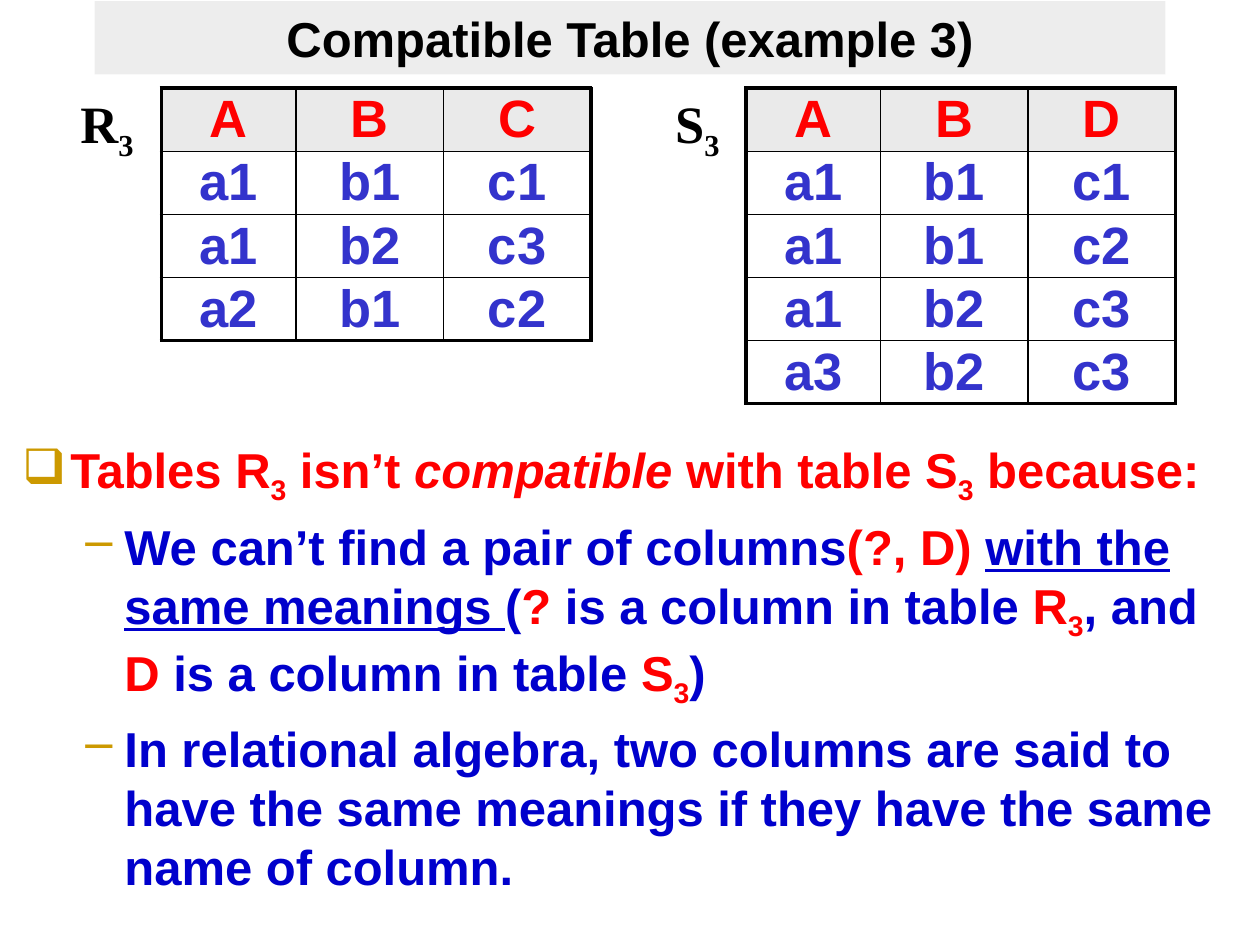
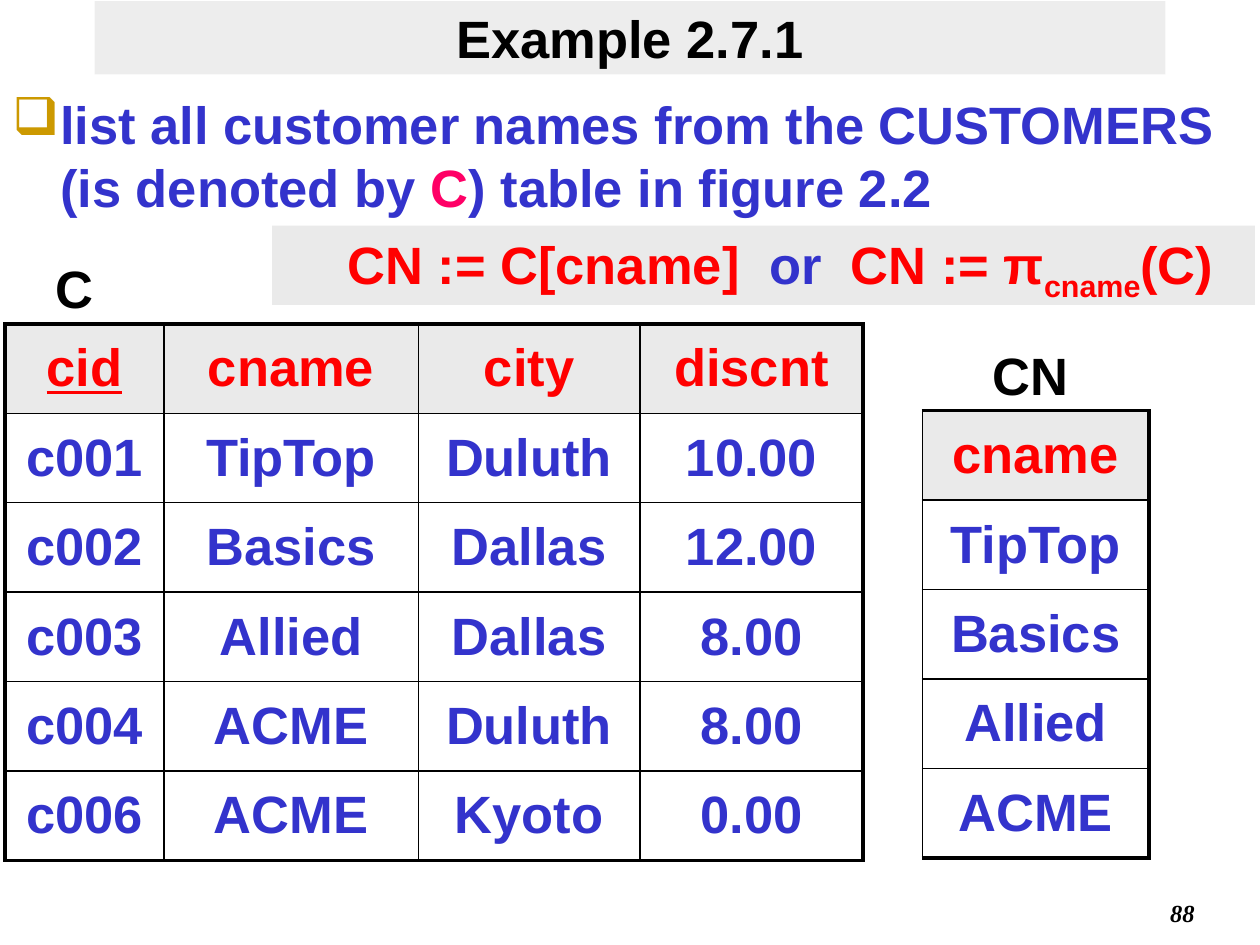
from dataclasses import dataclass

from lxml.etree import SubElement
from pptx import Presentation
from pptx.dml.color import RGBColor
from pptx.enum.shapes import MSO_SHAPE
from pptx.enum.text import MSO_ANCHOR, PP_ALIGN
from pptx.oxml.ns import qn
from pptx.util import Inches, Pt


@dataclass(frozen=True)
class Theme:
    """Colours, fonts, sizes and line widths shared by the slides."""

    black: str = "000000"
    white: str = "FFFFFF"
    red: str = "FF0000"
    blue: str = "0000CC"
    violet: str = "3333CC"
    pink: str = "FF0066"
    gold: str = "CC9900"
    band: str = "DDDDDD"
    header: str = "EAEAEA"
    sans: str = "Arial"
    serif: str = "Times New Roman"
    large: int = 30
    medium: int = 28
    small: int = 14
    thick: float = 2.25
    thin: float = 1


THEME = Theme()
RED, BLUE, VIOLET, BLACK = THEME.red, THEME.blue, THEME.violet, THEME.black
BULLETS = {0: ("❑", 0.38, -0.38), 1: ("–", 0.81, -0.31)}

COMPATIBLE = {
    "title": ("Compatible Table (example 3)", THEME.medium),
    "body": {
        "box": (0.08, 3.44, 9.8, 4.01),
        "size": THEME.medium,
        "fill": THEME.white,
        "items": [
            (0, [("Tables R", RED), ("3", RED, "sub"), (" isn’t ", RED), ("compatible", RED, "italic"),
                 (" with table S", RED), ("3", RED, "sub"), (" because:", RED)]),
            (1, [("We can’t find a pair of columns", BLUE), ("(?, D) ", RED),
                 ("with the same meanings ", BLUE, "underline"), ("(", BLUE), ("?", RED),
                 (" is a column in table ", BLUE), ("R", RED), ("3", RED, "sub"), (", and ", BLUE),
                 ("D", RED), (" is a column in table ", BLUE), ("S", RED), ("3", RED, "sub"), (")", BLUE)]),
            (1, [("In relational algebra, two columns are said to have the same meanings "
                  "if they have the same name of column.", BLUE)]),
        ],
    },
    "tables": [
        {"at": (left, 0.7), "columns": (1.07, 1.17, 1.17), "row": 0.5, "margin": 0, "rows": rows}
        for left, rows in (
            (1.28, ["A B C", "a1 b1 c1", "a1 b2 c3", "a2 b1 c2"]),
            (5.92, ["A B D", "a1 b1 c1", "a1 b1 c2", "a1 b2 c3", "a3 b2 c3"]),
        )
    ],
    "labels": [
        {"box": (left, 0.72, 0.83, 0.5), "runs": [(name, BLACK), ("3", BLACK, "sub")],
         "font": THEME.serif, "margin": 0}
        for left, name in ((0.54, "R"), (5.26, "S"))
    ],
}

PROJECTION = {
    "title": ("Example 2.7.1", THEME.large),
    "body": {
        "box": (0, 0.68, 9.96, 1.1),
        "size": THEME.large,
        "items": [
            (0, [("list all customer names from the CUSTOMERS (is denoted by ", VIOLET),
                 ("C", THEME.pink), (") table in figure 2.2", VIOLET)]),
        ],
    },
    "tables": [
        {"at": (0.04, 2.57), "columns": (1.26, 2.02, 1.76, 1.77), "row": 0.71, "key": "cid",
         "rows": ["cid cname city discnt", "c001 TipTop Duluth 10.00", "c002 Basics Dallas 12.00",
                  "c003 Allied Dallas 8.00", "c004 ACME Duluth 8.00", "c006 ACME Kyoto 0.00"]},
        {"at": (7.32, 3.26), "columns": (1.8,), "row": 0.71, "left_edge": THEME.thin,
         "rows": ["cname", "TipTop", "Basics", "Allied", "ACME"]},
    ],
    "labels": [
        {"box": (0.34, 1.98, 1.75, 0.6), "runs": [("C", BLACK)]},
        {"box": (7.3, 2.67, 1.75, 0.6), "runs": [("CN", BLACK)], "align": PP_ALIGN.CENTER},
        {"box": (7.5, 7.08, 2.08, 0.33), "runs": [("88", BLACK, "italic")], "font": THEME.serif,
         "size": THEME.small, "align": PP_ALIGN.RIGHT},
    ],
    "formula": {
        "box": (2.16, 1.79, 7.8, 0.63),
        "runs": [("CN := C[cname]  ", RED), ("or  ", VIOLET), ("CN := π", RED),
                 ("cname", RED, "sub"), ("(C)", RED)],
    },
}


def color(value):
    """Turn a hex string into a colour."""
    return RGBColor.from_string(value)


def paint(shape, value):
    """Give a shape a solid fill."""
    shape.fill.solid()
    shape.fill.fore_color.rgb = color(value)


def set_indent(paragraph, level, bulleted=True):
    """Set the hanging indent of a level and, if wanted, its bullet."""
    character, margin, indent = BULLETS[level]
    paragraph.level = level
    properties = paragraph._p.get_or_add_pPr()
    properties.set("marL", str(Inches(margin)))
    properties.set("indent", str(Inches(indent)))
    if bulleted:
        SubElement(SubElement(properties, qn("a:buClr")), qn("a:srgbClr"), val=THEME.gold)
        SubElement(properties, qn("a:buChar"), char=character)


def write(paragraph, runs, size=THEME.large, font=THEME.sans, align=PP_ALIGN.LEFT):
    """Fill a paragraph with bold runs of (text, colour, optional style)."""
    paragraph.alignment = align
    paragraph.font.name = font
    paragraph.font.size = Pt(size)
    paragraph.font.bold = True
    if len({run[1] for run in runs}) == 1:
        paragraph.font.color.rgb = color(runs[0][1])
    for text, value, *styles in runs:
        run = paragraph.add_run()
        run.text = text
        run.font.color.rgb = color(value)
        if "italic" in styles:
            run.font.italic = True
        if "underline" in styles:
            run.font.underline = True
        if "sub" in styles:
            run._r.get_or_add_rPr().set("baseline", "-25000")


def add_title(slide, text, size):
    """Place the title on its translucent grey band."""
    title = slide.shapes.title
    title.left, title.top, title.width, title.height = map(Inches, (0.75, 0.01, 8.5, 0.58))
    paint(title, THEME.band)
    fill_color = title._element.spPr.find(qn("a:solidFill"))[0]
    SubElement(fill_color, qn("a:alpha"), val="50000")
    title.text_frame.vertical_anchor = MSO_ANCHOR.MIDDLE
    write(title.text_frame.paragraphs[0], [(text, BLACK)], size, align=PP_ALIGN.CENTER)


def add_body(slide, box, size, items, fill=None):
    """Add the bulleted text."""
    shape = slide.shapes.add_textbox(*map(Inches, box))
    if fill:
        paint(shape, fill)
    frame = shape.text_frame
    frame.word_wrap = True
    for index, (level, runs) in enumerate(items):
        paragraph = frame.add_paragraph() if index else frame.paragraphs[0]
        if index:
            paragraph.space_before = Pt(size * 0.2)
        set_indent(paragraph, level)
        write(paragraph, runs, size)


def add_label(slide, box, runs, margin=0.05, **style):
    """Add a short caption."""
    frame = slide.shapes.add_textbox(*map(Inches, box)).text_frame
    frame.word_wrap = True
    frame.margin_top = frame.margin_bottom = Inches(margin)
    write(frame.paragraphs[0], runs, **style)


def add_formula(slide, box, runs):
    """Add the grey bar with the projection formula."""
    bar = slide.shapes.add_shape(MSO_SHAPE.RECTANGLE, *map(Inches, box))
    bar.shadow.inherit = False
    bar.line.fill.background()
    paint(bar, THEME.header)
    bar.text_frame.word_wrap = True
    bar.text_frame.vertical_anchor = MSO_ANCHOR.TOP
    set_indent(bar.text_frame.paragraphs[0], 1, bulleted=False)
    write(bar.text_frame.paragraphs[0], runs)


def set_borders(cell, **widths):
    """Draw black cell borders with the given widths."""
    properties = cell._tc.get_or_add_tcPr()
    for side, width in widths.items():
        line = SubElement(properties, qn(f"a:ln{side}"), w=str(Pt(width)))
        SubElement(SubElement(line, qn("a:solidFill")), qn("a:srgbClr"), val=BLACK)


def add_relation(slide, at, columns, row, rows, margin=0.05, key=None, left_edge=THEME.thick):
    """Add a relation as a table with a heavy frame and a grey header."""
    last_row, last_column = len(rows) - 1, len(columns) - 1
    size = (sum(columns), row * len(rows))
    table = slide.shapes.add_table(len(rows), len(columns), *map(Inches, at + size)).table
    table.first_row = table.horz_banding = False
    for column, width in zip(table.columns, columns):
        column.width = Inches(width)
    for row_index, line in enumerate(rows):
        table.rows[row_index].height = Inches(row)
        for column_index, text in enumerate(line.split()):
            cell = table.cell(row_index, column_index)
            set_borders(
                cell,
                L=THEME.thin if column_index else left_edge,
                R=THEME.thick if column_index == last_column else THEME.thin,
                T=THEME.thin if row_index else THEME.thick,
                B=THEME.thick if row_index == last_row else THEME.thin,
            )
            paint(cell, THEME.white if row_index else THEME.header)
            cell.vertical_anchor = MSO_ANCHOR.MIDDLE
            cell.margin_top = cell.margin_bottom = Inches(margin)
            style = "underline" if text == key else "plain"
            runs = [(text, VIOLET if row_index else RED, style)]
            write(cell.text_frame.paragraphs[0], runs, align=PP_ALIGN.CENTER)


def build_slide(presentation, content):
    """Build one slide from its content."""
    slide = presentation.slides.add_slide(presentation.slide_layouts[5])
    add_title(slide, *content["title"])
    add_body(slide, **content["body"])
    for table in content["tables"]:
        add_relation(slide, **table)
    for label in content["labels"]:
        add_label(slide, **label)
    if "formula" in content:
        add_formula(slide, **content["formula"])


def main():
    """Build and save the presentation."""
    presentation = Presentation()
    presentation.slide_width, presentation.slide_height = Inches(10), Inches(7.5)
    for content in (COMPATIBLE, PROJECTION):
        build_slide(presentation, content)
    presentation.save("out.pptx")


if __name__ == "__main__":
    main()
